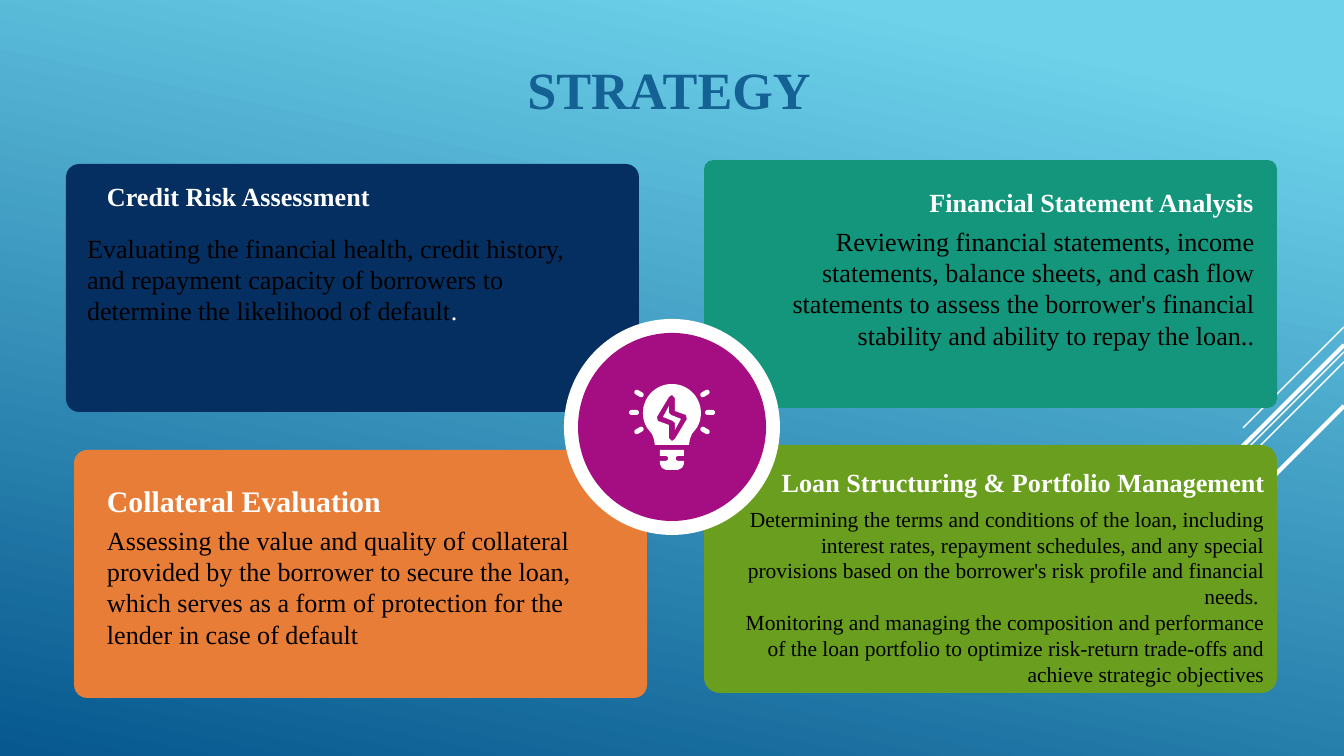
from math import cos, radians, sin

from lxml.etree import SubElement
from pptx import Presentation
from pptx.dml.color import RGBColor
from pptx.enum.shapes import MSO_CONNECTOR as Link, MSO_SHAPE as Kind
from pptx.enum.text import MSO_ANCHOR as Anchor, PP_ALIGN as Align
from pptx.oxml.ns import qn
from pptx.util import Emu, Pt

FONT = "Times New Roman"
WHITE = "FFFFFF"
BLACK = "000000"


def px(n):
    return Emu(round(n * 914400 / 134.4))


def hue(code):
    return RGBColor.from_string(code)


def style(font, size, color, bold=False):
    font.name, font.size, font.bold = FONT, Pt(size), bold
    font.color.rgb = hue(color)


def put_text(shape, text, size=14, color=BLACK, bold=False, align=Align.LEFT, line=1.0, after=0):
    frame = shape.text_frame
    frame.word_wrap = True
    frame.vertical_anchor = Anchor.TOP
    frame.margin_left = frame.margin_right = px(13)
    frame.margin_top = frame.margin_bottom = px(13)
    frame.text = text
    for para in frame.paragraphs:
        para.alignment, para.line_spacing = align, line
        para.space_before, para.space_after = Pt(0), Pt(after)
        for run in para.runs:
            style(run.font, size, color, bold)
    return frame


def paint(shape, color):
    shape.shadow.inherit = False
    shape.fill.solid()
    shape.fill.fore_color.rgb = hue(color)
    shape.line.fill.background()
    return shape


def add_form(slide, kind, box, color):
    return paint(slide.shapes.add_shape(kind, *map(px, box)), color)


def add_poly(slide, x, y, loops, color):
    loops = [[(px(a), px(b)) for a, b in loop] for loop in loops]
    pen = slide.shapes.build_freeform(*loops[0][0], scale=1.0)
    for i, loop in enumerate(loops):
        if i:
            pen.move_to(*loop[0])
        pen.add_line_segments(loop[1:], close=True)
    return paint(pen.convert_to_shape(px(x), px(y)), color)


def add_back(slide):
    fill = slide.background.fill
    fill.gradient()
    fill.gradient_angle = 258
    for stop, (spot, color) in zip(fill.gradient_stops, [(0.1, "6ED2EB"), (1, "06588E")]):
        stop.position = spot
        stop.color.rgb = hue(color)


def add_rays(slide, edge):
    rays = [(327, 101, 0.75), (352, 329, 0.75), (362, 210, 0.75), (345, 192, 2.25), (406, 140, 2.25)]
    for top, run, width in rays:
        ends = map(px, (edge, top, edge - run, top + run))
        ray = slide.shapes.add_connector(Link.STRAIGHT, *ends)
        ray.line.color.rgb = hue(WHITE)
        ray.line.width = Pt(width)
        SubElement(ray._element.spPr, qn("a:effectLst"))


def add_title(slide, box):
    title = slide.shapes.title
    title.left, title.top, title.width, title.height = map(px, box)
    put_text(title, " STRATEGY", size=28, color="146194", bold=True, align=Align.CENTER, line=1.1)


def add_panel(slide, box, color, bend):
    add_form(slide, Kind.ROUNDED_RECTANGLE, box, color).adjustments[0] = bend


def add_note(slide, x, y, box, text, **form):
    dx, dy, w, h = box
    note = slide.shapes.add_textbox(*map(px, (x + dx, y + dy, w, h)))
    return put_text(note, text, **form)


def add_bulb(slide, x, y):
    def spin(half):
        return half + [(-a, -18 - b) for a, b in half]

    def flip(half):
        return half + [(-a, b) for a, b in reversed(half)]

    arc = [(29 * cos(radians(t)), 29 * sin(radians(t)) - 14) for t in range(-90, 31, 6)]
    glass = flip(arc + [(20, 7), (18, 12), (17, 18)])
    hole = spin([(0, -32), (3, -29), (3, -16), (14, -12), (15, -8), (3, 12)])
    bolt = spin([(-3, -21), (-9, -10), (1, -6), (3, -4)])
    base = flip([(12, 23), (12, 29), (6, 29), (4, 30), (4, 33), (6, 34),
                 (12, 34), (12, 37), (10, 41), (6, 43)])
    for loops in ([glass, hole], [bolt], [base]):
        add_poly(slide, x, y, loops, WHITE)
    for side in (-1, 1):
        for dx, dy, turn in [(33, -33, -30), (38, -14, 0), (33, 4, 30)]:
            box = (x + side * dx - 5, y + dy - 3, 10, 5)
            ray = add_form(slide, Kind.ROUNDED_RECTANGLE, box, WHITE)
            ray.adjustments[0] = 0.5
            ray.rotation = side * turn


def add_badge(slide, x, y):
    for r, color in [(108, WHITE), (94, "A50E82")]:
        add_form(slide, Kind.OVAL, (x - r, y - r, 2 * r, 2 * r), color)
    add_bulb(slide, x, y)


def build():
    deck = Presentation()
    deck.slide_width, deck.slide_height = px(1344), px(756)
    slide = deck.slides.add_slide(deck.slide_layouts[5])
    add_back(slide)
    add_rays(slide, 1344)
    add_title(slide, (36, 38, 1253, 85))

    right = Align.RIGHT
    cards = [
        (66, 164, "052F61", 0.053,
         (28, -1, 300, 56), "Credit Risk Assessment", dict(line=1.15),
         (8, 55, 504, 85), "Evaluating the financial health, credit history, and repayment capacity "
         "of borrowers to determine the likelihood of default", {}),
        (74, 450, "E87D37", 0.053,
         (20, 14, 372, 56), "Collateral Evaluation", dict(size=16, line=1.15),
         (20, 61, 550, 180), "Assessing the value and quality of collateral provided by the borrower "
         "to secure the loan, which serves as a form of protection for the lender in case of default", {}),
        (704, 160, "14967C", 0.037,
         (121, 13, 442, 56), "Financial Statement Analysis", dict(align=right),
         (32, 52, 532, 160), "Reviewing financial statements, income statements, balance sheets, "
         "and cash flow statements to assess the borrower's financial stability and ability to "
         "repay the loan..", dict(align=right)),
        (704, 445, "6A9E1F", 0.063,
         (46, 4, 528, 36), "Loan Structuring & Portfolio Management", dict(align=right, line=1.15),
         (20, 48, 553, 203), "Determining the terms and conditions of the loan, including interest "
         "rates, repayment schedules, and any special provisions based on the borrower's risk "
         "profile and financial needs. \nMonitoring and managing the composition and performance "
         "of the loan portfolio to optimize risk-return trade-offs and achieve strategic objectives",
         dict(size=11.5, align=right)),
    ]
    for x, y, color, bend, *_ in cards:
        add_panel(slide, (x, y, 573, 248), color, bend)
    add_badge(slide, 672, 427)
    notes = []
    for x, y, _, _, top, head, look, low, body, form in cards:
        add_note(slide, x, y, top, head, color=WHITE, bold=True, after=16, **look)
        notes.append(add_note(slide, x, y, low, body, **form))
    dot = notes[0].paragraphs[0].add_run()
    dot.text = "."
    style(dot.font, 14, WHITE)
    deck.save("out.pptx")


if __name__ == "__main__":
    build()
